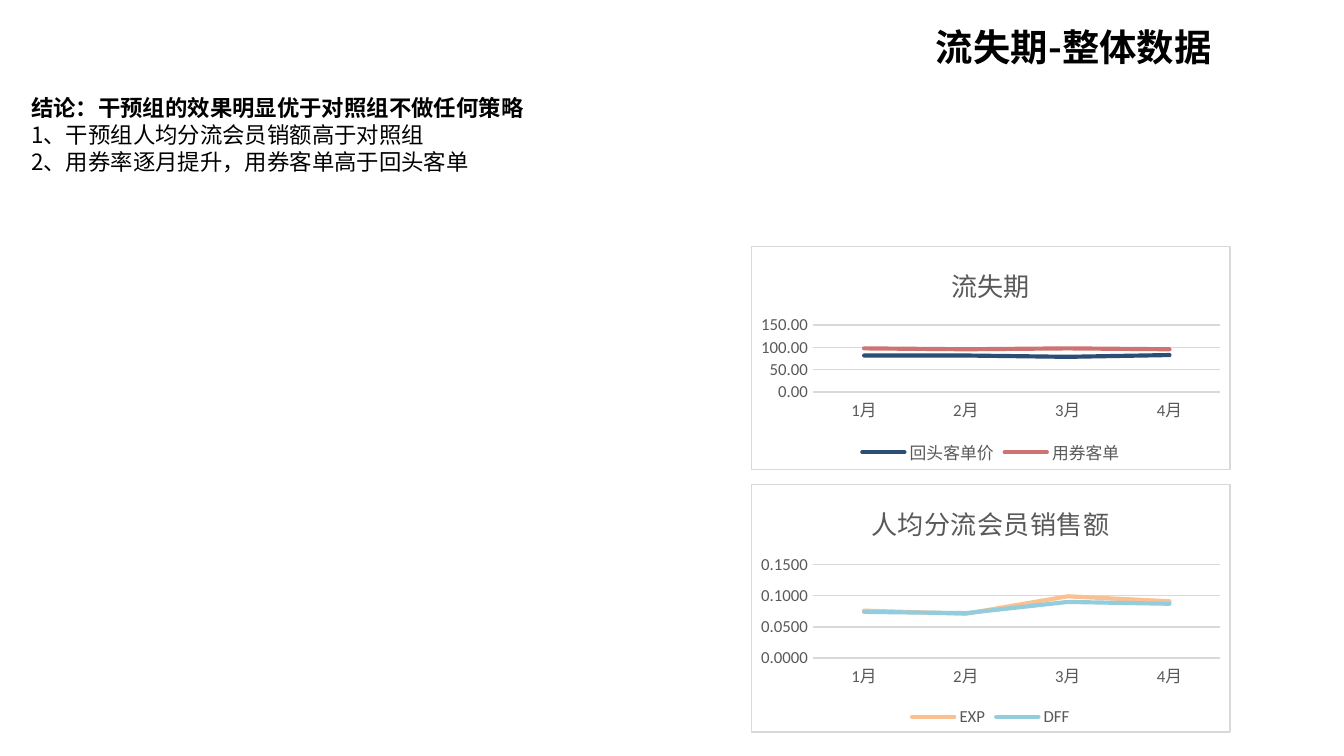
import pptx
import pptx.chart.data
import pptx.dml.color
import pptx.enum.chart
import pptx.enum.text
import pptx.oxml
import pptx.oxml.ns
import pptx.util

WIDE = pptx.util.Inches(10)
HIGH = WIDE * 9 // 16
SANS, LATIN = "Noto Sans CJK SC", "Calibri"
BLACK, GREY, RULE, WHITE = "000000", "595959", "D9D9D9", "FFFFFF"
MONTHS = ["1月", "2月", "3月", "4月"]


def color(code):
    return pptx.dml.color.RGBColor.from_string(code)


def place(left, top, width, height):
    """Turn percentages of the slide into a box of lengths."""
    shares = (left, top, width, height)
    sides = (WIDE, HIGH, WIDE, HIGH)
    return [pptx.util.Emu(round(part * side / 100))
            for part, side in zip(shares, sides)]


def style(font, size, code, name, bold=False):
    font.size = pptx.util.Pt(size)
    font.bold = bold
    font.name = name
    font.color.rgb = color(code)


def add_text(slide, box, lines, size, align):
    """Write (wording, bold) lines at a fixed pitch."""
    frame = slide.shapes.add_textbox(*box).text_frame
    frame.word_wrap = True
    for index, (words, bold) in enumerate(lines):
        para = frame.paragraphs[0] if index == 0 else frame.add_paragraph()
        para.alignment = align
        para.line_spacing = pptx.util.Pt(size * 1.21)
        run = para.add_run()
        run.text = words
        style(run.font, size, BLACK, SANS, bold)
        east = pptx.oxml.parse_xml(
            f'<a:ea {pptx.oxml.ns.nsdecls("a")} typeface="{SANS}"/>')
        run.font._element.find(pptx.oxml.ns.qn("a:latin")).addnext(east)
    return frame


def add_head(slide, box):
    add_text(slide, box, [("流失期-整体数据", True)], 20,
             pptx.enum.text.PP_ALIGN.CENTER)


def add_notes(slide, box):
    """Place the conclusion and its two reasons."""
    lines = [
        ("结论：干预组的效果明显优于对照组不做任何策略", True),
        ("1、干预组人均分流会员销额高于对照组", False),
        ("2、用券率逐月提升，用券客单高于回头客单", False),
    ]
    frame = add_text(slide, box, lines, 12, pptx.enum.text.PP_ALIGN.LEFT)
    frame.auto_size = pptx.enum.text.MSO_AUTO_SIZE.SHAPE_TO_FIT_TEXT


def frame_chart(chart):
    """Give the whole chart a white fill and a thin border."""
    shell = pptx.oxml.parse_xml(
        f'<c:spPr {pptx.oxml.ns.nsdecls("c", "a")}>'
        f'<a:solidFill><a:srgbClr val="{WHITE}"/></a:solidFill>'
        f'<a:ln w="9525"><a:solidFill><a:srgbClr val="{RULE}"/></a:solidFill></a:ln>'
        '</c:spPr>')
    chart._chartSpace.find(pptx.oxml.ns.qn("c:chart")).addnext(shell)


def rule_line(line):
    line.color.rgb = color(RULE)
    line.width = pptx.util.Pt(0.75)


def add_trend(slide, box, title, series, top, step, digits):
    """Place a line chart; series holds (name, values, colour)."""
    data = pptx.chart.data.CategoryChartData()
    data.categories = MONTHS
    for name, values, _ in series:
        data.add_series(name, values)
    kind = pptx.enum.chart.XL_CHART_TYPE.LINE
    chart = slide.shapes.add_chart(kind, *box, data).chart
    style(chart.font, 10, BLACK, LATIN)
    frame_chart(chart)

    chart.has_title = True
    run = chart.chart_title.text_frame.paragraphs[0].add_run()
    run.text = title
    style(run.font, 14, GREY, LATIN)
    chart.chart_title.include_in_layout = False

    chart.has_legend = True
    chart.legend.position = pptx.enum.chart.XL_LEGEND_POSITION.BOTTOM
    chart.legend.include_in_layout = False
    style(chart.legend.font, 9, GREY, LATIN)

    months, scale = chart.category_axis, chart.value_axis
    for axis in (months, scale):
        axis.major_tick_mark = pptx.enum.chart.XL_TICK_MARK.NONE
        axis.minor_tick_mark = pptx.enum.chart.XL_TICK_MARK.NONE
        style(axis.tick_labels.font, 9, GREY, LATIN)
    rule_line(months.format.line)
    rule_line(scale.major_gridlines.format.line)
    scale.format.line.fill.background()
    scale.minimum_scale, scale.maximum_scale, scale.major_unit = 0, top, step
    scale.tick_labels.number_format = digits
    scale.tick_labels.number_format_is_linked = False

    plot = chart.plots[0]
    plot.vary_by_categories = False
    for item, (_, _, code) in zip(plot.series, series):
        item.smooth = False
        line = item.format.line
        line.color.rgb = color(code)
        line.width = pptx.util.Pt(2.25)
        line._get_or_add_ln().set("cap", "rnd")


def main():
    deck = pptx.Presentation()
    deck.slide_width, deck.slide_height = WIDE, HIGH
    slide = deck.slides.add_slide(deck.slide_layouts[6])

    add_head(slide, place(62.9, 2.3, 34, 11))
    add_notes(slide, place(1.33, 11.5, 91.5, 12.6))
    left, width = 55.87, 35.7
    add_trend(slide, place(left, 32.5, width, 29.7), "流失期",
              [("回头客单价", (82, 82, 79, 83), "2C4D75"),
               ("用券客单", (98, 96, 98, 96), "CD7371")],
              150, 50, "#,##0.00")
    add_trend(slide, place(left, 64, width, 32.9), "人均分流会员销售额",
              [("EXP", (0.076, 0.071, 0.099, 0.091), "FAC090"),
               ("DFF", (0.074, 0.072, 0.09, 0.087), "93CDDD")],
              0.15, 0.05, "#,##0.0000")
    deck.save("out.pptx")


if __name__ == "__main__":
    main()
